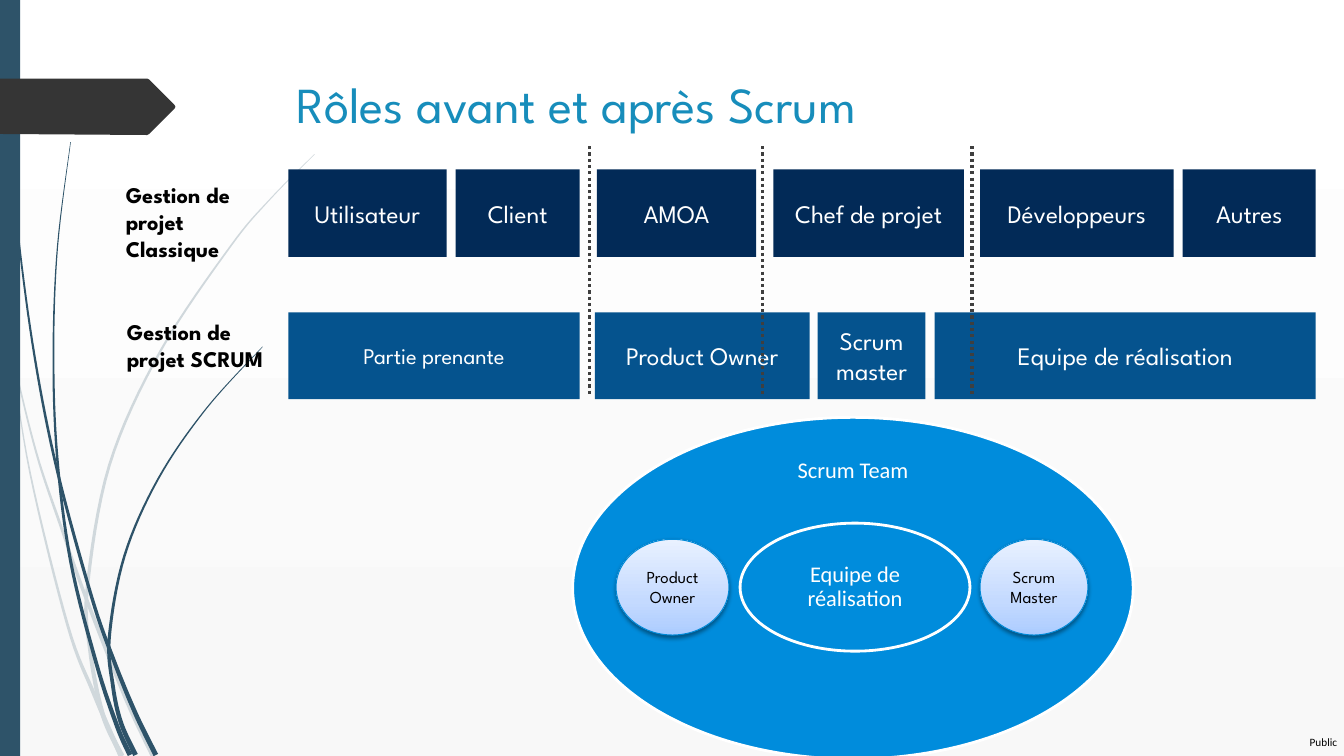
from dataclasses import dataclass
from math import hypot

from lxml import etree
from pptx import Presentation
from pptx.dml.color import RGBColor
from pptx.enum.dml import MSO_LINE
from pptx.enum.shapes import MSO_CONNECTOR, MSO_SHAPE
from pptx.enum.text import MSO_ANCHOR, MSO_AUTO_SIZE, PP_ALIGN
from pptx.oxml.ns import qn
from pptx.util import Inches, Pt

RECTANGLE, OVAL = MSO_SHAPE.RECTANGLE, MSO_SHAPE.OVAL
STRAIGHT, DOTTED = MSO_CONNECTOR.STRAIGHT, MSO_LINE.ROUND_DOT
LEFT, CENTER = PP_ALIGN.LEFT, PP_ALIGN.CENTER
TOP, MIDDLE = MSO_ANCHOR.TOP, MSO_ANCHOR.MIDDLE
NO_AUTOFIT = MSO_AUTO_SIZE.NONE

# The grid has ten columns and ten rows to the inch
COLUMNS, ROWS = 133.3, 75
CELL = Inches(0.1)


@dataclass(frozen=True)
class Theme:
    heading: str = "League Spartan"
    body: str = "Calibri"
    title: str = "178DBB"
    classic: str = "022A57"
    scrum: str = "05538E"
    team: str = "008CDC"
    badge_line: str = "0089D7"
    strand: str = "2E5369"
    pale_strand: str = "D0D8DC"
    arrow: str = "353535"
    divider: str = "3F3F3F"
    white: str = "FFFFFF"
    black: str = "000000"
    background: tuple = ((0, "FFFFFF"), (100, "F8F8F8"))
    badge: tuple = ((0, "ACCCFF"), (35, "C4DAFF"), (100, "E9F1FF"))
    title_size: int = 36
    box_size: int = 18
    label_size: int = 16
    badge_size: int = 12
    tag_size: int = 8


THEME = Theme()

# Top, height, colour and boxes (left, width, text, size) of each row
ROLE_ROWS = (
    (16.8, 8.7, THEME.classic, (
        (28.6, 15.7, "Utilisateur", THEME.box_size),
        (45.2, 12.3, "Client", THEME.box_size),
        (59.2, 15.8, "AMOA", THEME.box_size),
        (76.7, 18.9, "Chef de projet", THEME.box_size),
        (97.2, 19.2, "Développeurs", THEME.box_size),
        (117.3, 13.2, "Autres", THEME.box_size))),
    (31, 8.6, THEME.scrum, (
        (28.6, 28.9, "Partie prenante", THEME.label_size),
        (59, 21.3, "Product Owner", THEME.box_size),
        (81.1, 10.7, "Scrum master", THEME.box_size),
        (92.7, 37.8, "Equipe de réalisation", THEME.box_size))),
)
ROW_LABELS = (
    ((11.5, 17.5, 15.7, 9.1), "Gestion de projet Classique"),
    ((11.6, 31.1, 16.1, 6.4), "Gestion de projet SCRUM"),
)
DIVIDERS = (58.5, 75.6, 96.4)
BADGES = ((61.1, 11.2, "Product Owner"), (97.2, 10.7, "Scrum Master"))

# Centre lines of the strands, from the thin end to the thick end
STRANDS = (
    (THEME.pale_strand, (
        ((0, 29), (1.3, 35.5), (3.6, 44.9), (6, 52.1), (8.6, 59.5),
         (12.5, 69.3), (15.2, 75)),
        ((1.1, 35), (3, 47), (6.7, 62), (9.3, 68.8), (12, 75)),
        ((31.2, 15.3), (26.8, 19.75), (22.85, 24.45), (15.9, 34.85),
         (10.85, 46.15), (8.65, 58.4), (8.95, 64.6), (10.2, 70.9), (12.1, 75)))),
    (THEME.strand, (
        ((0.35, 0), (0.75, 11), (1.8, 23.25), (3.45, 35.5), (5.7, 46.8),
         (9.05, 59.1), (11.2, 65.3), (13.4, 70.7), (15.45, 74.9)),
        ((7, 14.1), (5.7, 24.5), (5.3, 34.9), (5.65, 45.1), (7, 55.65),
         (9.55, 65.8), (11.6, 72), (12.9, 74.9)),
        ((26.05, 34.4), (20.45, 40.55), (15.7, 47.5), (12.35, 55.15),
         (10.85, 63.2), (11.2, 68), (12, 71.7), (13.45, 74.9)))),
)
ARROW = ((0, 7.8), (14.6, 7.8), (14.8, 7.9), (17.3, 10.4), (17.4, 10.6),
         (17.3, 10.8), (14.8, 13.3), (14.6, 13.4), (0, 13.3))


def grid(*lengths):
    return [round(length * CELL) for length in lengths]


def set_gradient(fill, owner, stops, angle):
    fill.gradient()
    fill.gradient_angle = angle
    stop_list = next(owner.iter(qn("a:gsLst")))
    stop_list.clear()
    for position, color in stops:
        stop = etree.SubElement(stop_list, qn("a:gs"), pos=str(position * 1000))
        etree.SubElement(stop, qn("a:srgbClr"), val=color)


def set_text(shape, text, size, color, font=THEME.heading, align=CENTER,
             anchor=MIDDLE, bold=False, inset=(1, 0.5), wrap=True, spacing=None):
    frame = shape.text_frame
    across, down = grid(*inset)
    frame_format = {"auto_size": NO_AUTOFIT, "word_wrap": wrap,
                    "vertical_anchor": anchor, "margin_left": across,
                    "margin_right": across, "margin_top": down, "margin_bottom": down}
    frame.text = text
    paragraph = frame.paragraphs[0]
    paragraph_format = {"alignment": align, "line_spacing": spacing}
    font_format = {"name": font, "size": Pt(size), "bold": bold}
    for target, values in ((frame, frame_format), (paragraph, paragraph_format),
                           (paragraph.font, font_format)):
        for name, value in values.items():
            setattr(target, name, value)
    paragraph.font.color.rgb = RGBColor.from_string(color)


def paint(shape, fill, line=None, line_width=2):
    shape.shadow.inherit = False
    shape.fill.solid()
    shape.fill.fore_color.rgb = RGBColor.from_string(fill)
    if line:
        shape.line.color.rgb = RGBColor.from_string(line)
        shape.line.width = Pt(line_width)
    else:
        shape.line.fill.background()


def add_box(slide, kind, place, fill, line=None, line_width=2):
    shape = slide.shapes.add_shape(kind, *grid(*place))
    paint(shape, fill, line, line_width)
    return shape


def add_label(slide, place, text, size, color, **text_format):
    set_text(slide.shapes.add_textbox(*grid(*place)), text, size, color, **text_format)


def add_outline(slide, points, fill):
    start, *others = [grid(*point) for point in points]
    builder = slide.shapes.build_freeform(*start)
    builder.add_line_segments(others, close=True)
    paint(builder.convert_to_shape(), fill)


def smooth(points, steps=8):
    """Catmull-Rom curve through the points."""
    padded = (points[0], *points, points[-1])
    curve = []
    for a, b, c, d in zip(padded, padded[1:], padded[2:], padded[3:]):
        for step in range(steps):
            t = step / steps
            curve.append([(2 * q + (r - p) * t + (2 * p - 5 * q + 4 * r - s) * t ** 2
                           + (3 * q - p - 3 * r + s) * t ** 3) / 2
                          for p, q, r, s in zip(a, b, c, d)])
    return [*curve, points[-1]]


def add_strand(slide, points, color, thin=0.05, thick=0.5):
    curve = smooth(points)
    last = len(curve) - 1
    right, left = [], []
    for index, (x, y) in enumerate(curve):
        before, after = curve[max(index - 1, 0)], curve[min(index + 1, last)]
        dx, dy = after[0] - before[0], after[1] - before[1]
        half = (thin + (thick - thin) * index / last) / 2 / hypot(dx, dy)
        right.append((x + dy * half, y - dx * half))
        left.append((x - dy * half, y + dx * half))
    add_outline(slide, right + left[::-1], color)


def add_divider(slide, column, top=14.5, bottom=39.3):
    line = slide.shapes.add_connector(STRAIGHT, *grid(column, top, column, bottom))
    line.line.color.rgb = RGBColor.from_string(THEME.divider)
    line.line.width = Pt(2.25)
    line.line.dash_style = DOTTED
    etree.SubElement(line._element.spPr, qn("a:effectLst"))


def add_badge(slide, left, width, text):
    badge = add_box(slide, OVAL, (left, 53.5, width, 9.5), THEME.team,
                    THEME.badge_line, 0.75)
    set_gradient(badge.fill, badge._element, THEME.badge, 90)
    shadow = etree.SubElement(
        badge._element.spPr.find(qn("a:effectLst")), qn("a:outerShdw"),
        blurRad=str(Pt(3.1)), dist=str(Pt(1.6)), dir="5400000", rotWithShape="0")
    color = etree.SubElement(shadow, qn("a:srgbClr"), val=THEME.black)
    etree.SubElement(color, qn("a:alpha"), val="38000")
    set_text(badge, text, THEME.badge_size, THEME.black, inset=(0.4, 0.5))


def main():
    presentation = Presentation()
    presentation.slide_width, presentation.slide_height = grid(COLUMNS, ROWS)
    slide = presentation.slides.add_slide(presentation.slide_layouts[5])
    set_gradient(slide.background.fill, slide._element, THEME.background, 270)

    # Side decoration
    for color, strands in STRANDS:
        for points in strands:
            add_strand(slide, points, color)
    add_box(slide, RECTANGLE, (0, 0, 2, ROWS), THEME.strand)
    add_outline(slide, ARROW, THEME.arrow)

    # Title and classification
    title = slide.shapes.title
    title.left, title.top, title.width, title.height = grid(28.4, 6.8, 97.5, 14)
    set_text(title, "Rôles avant et après Scrum", THEME.title_size, THEME.title,
             align=LEFT, anchor=TOP)
    add_label(slide, (129.9, 73, 3, 1.3), "Public", THEME.tag_size, THEME.black,
              font=THEME.body, align=LEFT, anchor=TOP, inset=(0, 0), wrap=False)

    # Role rows
    for place, text in ROW_LABELS:
        add_label(slide, place, text, THEME.label_size, THEME.black,
                  align=LEFT, anchor=TOP, bold=True)
    for top, height, color, boxes in ROLE_ROWS:
        for left, width, text, size in boxes:
            box = add_box(slide, RECTANGLE, (left, top, width, height), color)
            set_text(box, text, size, THEME.white)

    # Scrum team
    add_box(slide, OVAL, (56.8, 41.4, 55.6, 33.9), THEME.team, THEME.white)
    add_label(slide, (70, 43.9, 29.2, 5.8), "Scrum Team", THEME.label_size,
              THEME.white, font=THEME.body, spacing=0.9)
    core = add_box(slide, OVAL, (73.4, 51.9, 22.8, 12.7), THEME.team, THEME.white)
    set_text(core, "Equipe de réalisation", THEME.label_size, THEME.white,
             font=THEME.body, inset=(0, 1.2), spacing=0.9)
    for left, width, text in BADGES:
        add_badge(slide, left, width, text)

    # Dividers between the role groups
    for column in DIVIDERS:
        add_divider(slide, column)
    presentation.save("out.pptx")


if __name__ == "__main__":
    main()
